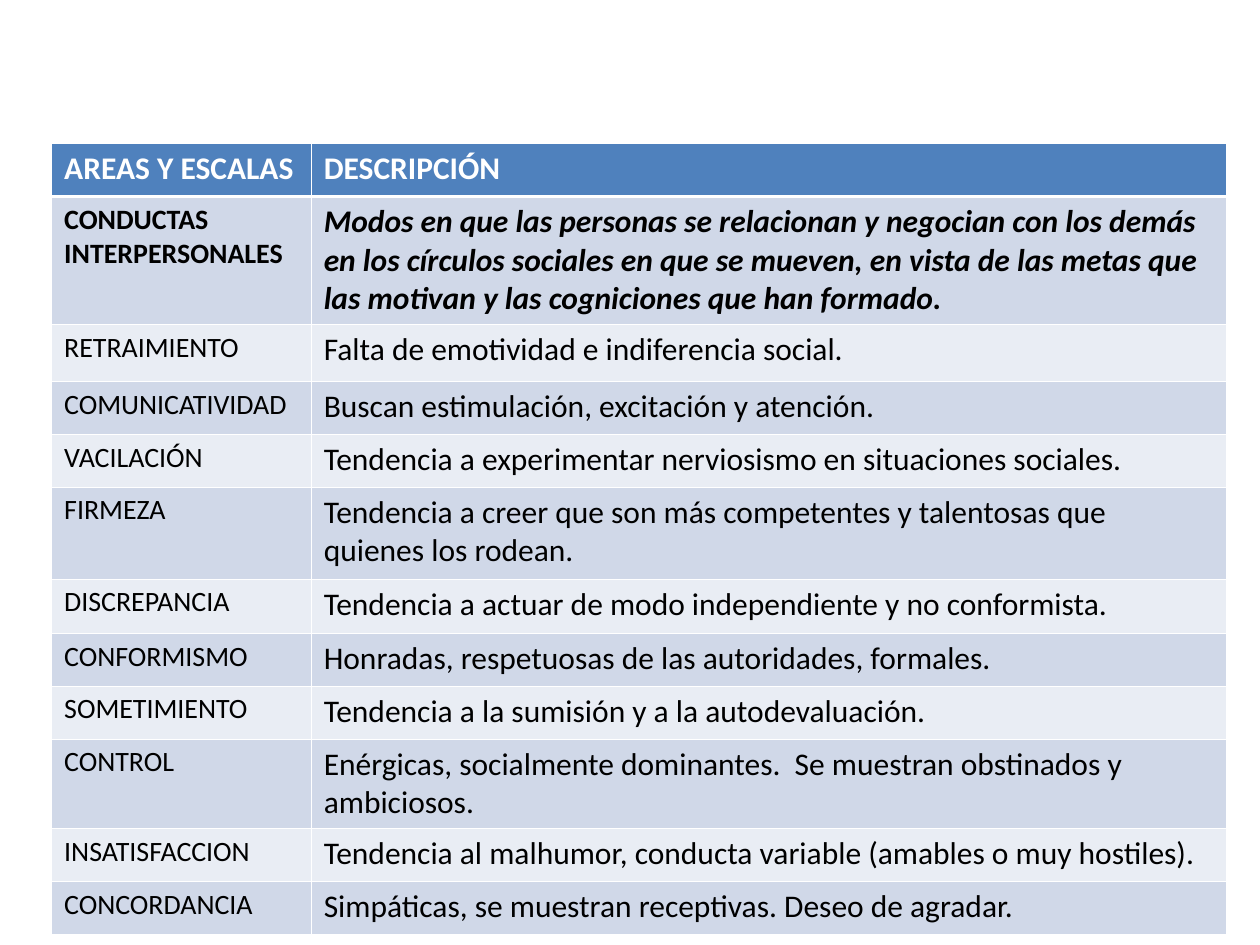
from lxml import etree
from pptx import Presentation
from pptx.dml.color import RGBColor
from pptx.oxml.ns import qn
from pptx.util import Inches, Pt

WHITE = RGBColor(0xFF, 0xFF, 0xFF)
BLACK = RGBColor(0x00, 0x00, 0x00)
HEADER_BLUE = RGBColor(0x4F, 0x81, 0xBD)
BAND_DARK = RGBColor(0xD0, 0xD8, 0xE8)
BAND_LIGHT = RGBColor(0xE9, 0xED, 0xF4)

THIN, THICK = 0.45, 1.47
COLUMN_WIDTHS = (2.06, 7.26)
SCALES = [
    (0.42, "AREAS Y ESCALAS", "DESCRIPCIÓN"),
    (1.0, "CONDUCTAS INTERPERSONALES",
     "Modos en que las personas se relacionan y negocian con los demás en los "
     "círculos sociales en que se mueven, en vista de las metas que las motivan "
     "y las cogniciones que han formado."),
    (0.45, "RETRAIMIENTO", "Falta de emotividad e indiferencia social."),
    (0.42, "COMUNICATIVIDAD", "Buscan estimulación, excitación y atención."),
    (0.42, "VACILACIÓN",
     "Tendencia a experimentar nerviosismo en situaciones sociales."),
    (0.73, "FIRMEZA",
     "Tendencia a creer que son más competentes y talentosas que quienes los rodean."),
    (0.43, "DISCREPANCIA",
     "Tendencia a actuar de modo independiente y no conformista."),
    (0.42, "CONFORMISMO", "Honradas, respetuosas de las autoridades, formales."),
    (0.42, "SOMETIMIENTO", "Tendencia a la sumisión y a la autodevaluación."),
    (0.7, "CONTROL",
     "Enérgicas, socialmente dominantes.  Se muestran obstinados y ambiciosos."),
    (0.42, "INSATISFACCION",
     "Tendencia al malhumor, conducta variable (amables o muy hostiles)."),
    (0.42, "CONCORDANCIA", "Simpáticas, se muestran receptivas. Deseo de agradar."),
]


def write_text(cell, content, size=18, color=BLACK, bold=False, italic=False):
    """Write formatted text in a table cell."""
    run = cell.text_frame.paragraphs[0].add_run()
    run.text = content
    font = run.font
    font.name, font.size = "Calibri", Pt(size)
    font.bold, font.italic = bold, italic
    font.color.rgb = color


def set_borders(cell, top=THIN, bottom=THIN):
    """Draw white borders around a table cell."""
    properties = cell._tc.get_or_add_tcPr()
    for side, width in (("L", THIN), ("R", THIN), ("T", top), ("B", bottom)):
        line = etree.SubElement(properties, qn(f"a:ln{side}"), w=str(int(Pt(width))))
        solid = etree.SubElement(line, qn("a:solidFill"))
        etree.SubElement(solid, qn("a:srgbClr"), val=str(WHITE))


def set_fill(cell, color):
    """Fill a table cell with one colour."""
    cell.fill.solid()
    cell.fill.fore_color.rgb = color


def add_scales_table(slide):
    """Add the table of scales and their descriptions."""
    total_height = sum(height for height, _, _ in SCALES)
    table = slide.shapes.add_table(
        len(SCALES), len(COLUMN_WIDTHS), Inches(0.41), Inches(1.14),
        Inches(sum(COLUMN_WIDTHS)), Inches(total_height)).table
    for column, width in zip(table.columns, COLUMN_WIDTHS):
        column.width = Inches(width)
    for index, (height, scale, description) in enumerate(SCALES):
        table.rows[index].height = Inches(height)
        is_header, is_area = index == 0, index == 1
        band = HEADER_BLUE if is_header else BAND_DARK if index % 2 else BAND_LIGHT
        style = {"color": WHITE if is_header else BLACK, "bold": is_header or is_area}
        scale_cell, description_cell = table.cell(index, 0), table.cell(index, 1)
        for cell in (scale_cell, description_cell):
            set_borders(cell, top=THICK if is_area else THIN,
                        bottom=THICK if is_header else THIN)
            set_fill(cell, band)
        write_text(scale_cell, scale, size=18 if is_header else 16, **style)
        write_text(description_cell, description, italic=is_area, **style)


def main():
    """Build and save the slide."""
    presentation = Presentation()
    presentation.slide_width, presentation.slide_height = Inches(10), Inches(7.5)
    slide = presentation.slides.add_slide(presentation.slide_layouts[6])
    add_scales_table(slide)
    presentation.save("out.pptx")


if __name__ == "__main__":
    main()
